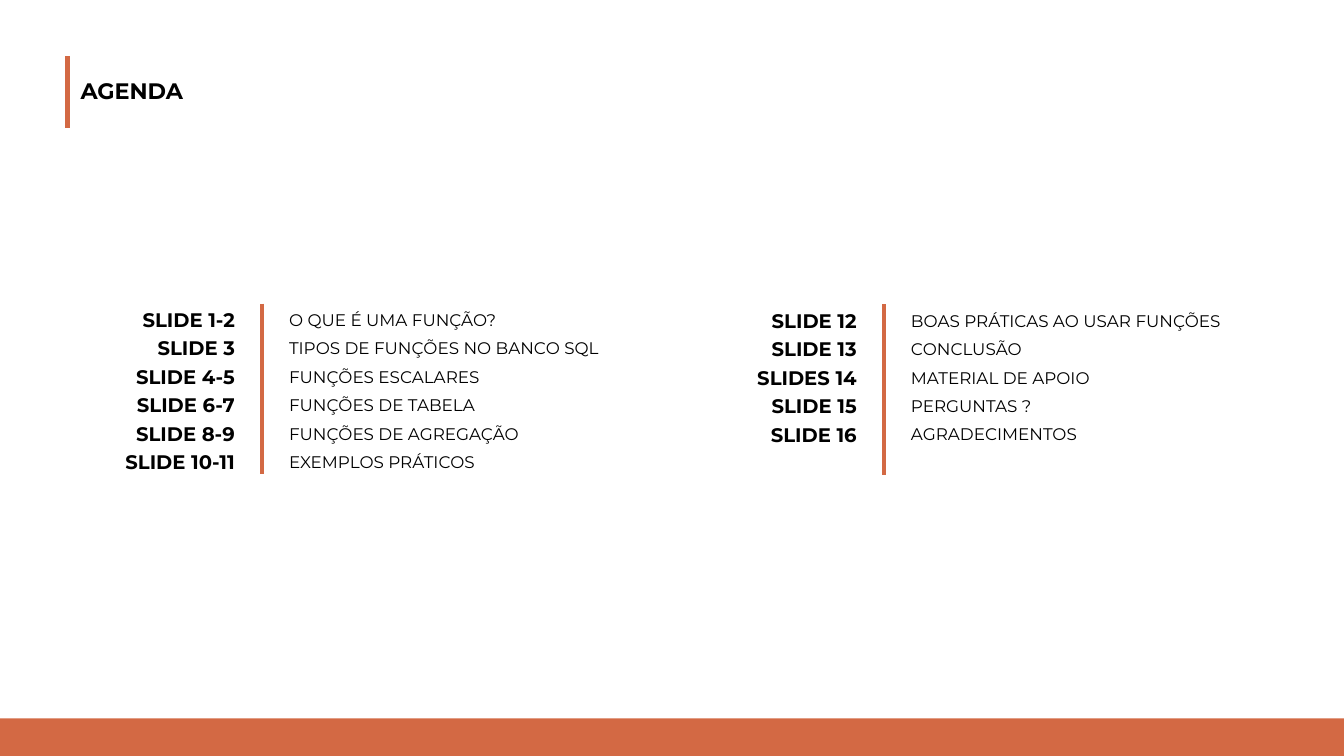
from pptx import Presentation
from pptx import util as u
from pptx.dml.color import RGBColor
from pptx.enum import shapes, text
from lxml import etree

ORANGE = "D36944"
A = "http://schemas.openxmlformats.org/drawingml/2006/main"


def rgb(color):
    return RGBColor.from_string(color)


def write(sp, box, content, size, bold=False, align=text.PP_ALIGN.LEFT):
    sp.left, sp.top, sp.width, sp.height = [u.Pt(v) for v in box]
    tf = sp.text_frame
    tf.text = content
    tf.word_wrap = True
    tf.vertical_anchor = text.MSO_ANCHOR.TOP
    tf.auto_size = text.MSO_AUTO_SIZE.SHAPE_TO_FIT_TEXT
    p = tf.paragraphs[0]
    p.alignment = align
    f = p.runs[0].font
    f.name, f.size, f.bold = "Montserrat", u.Pt(size), bold
    f.color.rgb = rgb("000000")


prs = Presentation()
prs.slide_width, prs.slide_height = u.Pt(960), u.Pt(540)
s = prs.slides.add_slide(prs.slide_layouts[5])

# Title
write(s.shapes.title, (50.4, 51.8, 96, 26.6), "AGENDA", 16, bold=True)

# Vertical rules: title, left column, right column
for x, top, bottom in [(48.2, 40.3, 91.4), (187.2, 216.9, 338.4),
                       (631.4, 217.4, 339.1)]:
    line = s.shapes.add_connector(shapes.MSO_CONNECTOR.STRAIGHT, u.Pt(x),
                                  u.Pt(top), u.Pt(x), u.Pt(bottom))
    line.line.color.rgb = rgb(ORANGE)
    line.line.width = u.Pt(3)
    etree.SubElement(line._element.spPr, f"{{{A}}}effectLst")

# Agenda columns: slide numbers on the left of the rule, topics on the right
columns = [
    (187.2, 216.4, [
        ("SLIDE 1-2", "O QUE É UMA FUNÇÃO?"),
        ("SLIDE 3", "TIPOS DE FUNÇÕES NO BANCO SQL"),
        ("SLIDE 4-5", "FUNÇÕES ESCALARES"),
        ("SLIDE 6-7", "FUNÇÕES DE TABELA"),
        ("SLIDE 8-9", "FUNÇÕES DE AGREGAÇÃO"),
        ("SLIDE 10-11", "EXEMPLOS PRÁTICOS"),
    ]),
    (631.4, 217, [
        ("SLIDE 12", "BOAS PRÁTICAS AO USAR FUNÇÕES"),
        ("SLIDE 13", "CONCLUSÃO"),
        ("SLIDES 14", "MATERIAL DE APOIO"),
        ("SLIDE 15", "PERGUNTAS ?"),
        ("SLIDE 16", "AGRADECIMENTOS"),
    ]),
]
for x, top, rows in columns:
    for i, (number, topic) in enumerate(rows):
        y = top + i * 20.3
        write(s.shapes.add_textbox(0, 0, 0, 0), (x - 130.3, y, 118, 24.5),
              number, 14, bold=True, align=text.PP_ALIGN.RIGHT)
        write(s.shapes.add_textbox(0, 0, 0, 0), (x + 12.2, y + 1.2, 270, 21.6),
              topic, 12)

# Footer band
band = s.shapes.add_shape(shapes.MSO_SHAPE.RECTANGLE, 0, u.Pt(513.2),
                          u.Pt(960), u.Pt(26.8))
band.shadow.inherit = False
band.fill.solid()
band.fill.fore_color.rgb = rgb(ORANGE)
band.line.fill.background()

prs.save("out.pptx")
